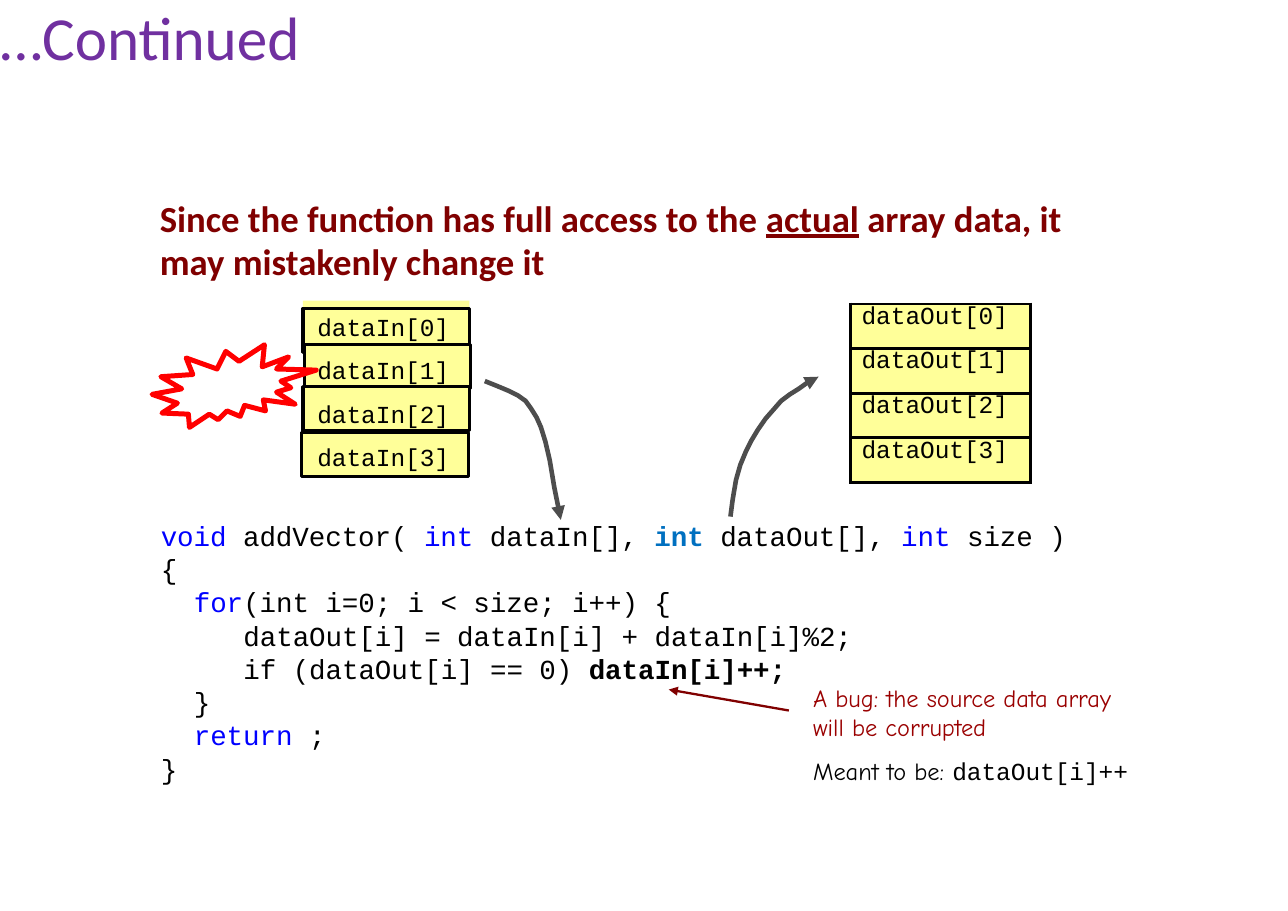
from pptx import Presentation
from pptx.dml.color import RGBColor
from pptx.enum import shapes, text
from pptx.oxml import ns, xmlchemy
from pptx.util import Inches, Pt

COLORS = {
    "title": "7030A0", "maroon": "800000", "warning": "9A0000",
    "keyword": "0000FF", "highlight": "0070C0", "black": "000000",
    "cell": "FFFF99", "arrow": "4D4D4D", "burst": "FF0000", "white": "FFFFFF",
}
CODE_FONT = "Courier New"

# Each code line: indent in inches, then runs of (text, colour, bold)
CODE = [
    (0, [("void", "keyword", False), (" addVector( ", "black", False),
         ("int", "keyword", False), (" dataIn[], ", "black", False),
         ("int", "highlight", True), (" dataOut[], ", "black", False),
         ("int", "keyword", False), (" size )", "black", False)]),
    (0, [("{", "black", False)]),
    (0.3, [("for", "keyword", False),
           ("(int i=0; i < size; i++) {", "black", False)]),
    (0.75, [("dataOut[i] = dataIn[i] + dataIn[i]%2;", "black", False)]),
    (0.75, [("if (dataOut[i] == 0) ", "black", False),
            ("dataIn[i]++;", "black", True)]),
    (0.3, [("}", "black", False)]),
    (0.3, [("return", "keyword", False), (" ;", "black", False)]),
    (0, [("}", "black", False)]),
]

DATA_IN_CORNERS = [(2.75, 2.8), (2.76, 3.13), (2.75, 3.51), (2.74, 3.93)]

BURST = [
    (2.17, 3.28), (2.05, 3.19), (1.97, 3.35), (1.69, 3.25), (1.75, 3.4),
    (1.46, 3.42), (1.65, 3.53), (1.38, 3.58), (1.61, 3.66), (1.47, 3.75),
    (1.71, 3.76), (1.72, 3.88), (1.9, 3.76), (1.98, 3.81), (2.06, 3.73),
    (2.18, 3.78), (2.22, 3.68), (2.41, 3.73), (2.39, 3.63), (2.68, 3.67),
    (2.51, 3.56), (2.64, 3.52), (2.55, 3.46), (2.87, 3.36), (2.51, 3.35),
    (2.62, 3.24), (2.38, 3.33), (2.4, 3.13),
]
ARROW_IN = [
    (4.4, 3.46), (4.5, 3.5), (4.62, 3.55), (4.7, 3.59), (4.77, 3.64),
    (4.82, 3.71), (4.87, 3.79), (4.91, 3.88), (4.95, 4.01), (4.99, 4.18),
    (5.03, 4.42), (5.09, 4.72),
]
ARROW_OUT = [
    (6.63, 4.69), (6.65, 4.54), (6.68, 4.36), (6.72, 4.22), (6.77, 4.1),
    (6.82, 4), (6.88, 3.9), (6.95, 3.8), (7.02, 3.72), (7.09, 3.64),
    (7.17, 3.58), (7.25, 3.53), (7.32, 3.48), (7.43, 3.42),
]


def rgb(color):
    return RGBColor.from_string(COLORS[color])


def set_font(font, name=None, size=None, color=None, bold=None):
    if name:
        font.name = name
    if size:
        font.size = Pt(size)
    if color:
        font.color.rgb = rgb(color)
    if bold is not None:
        font.bold = bold


def clear_margins(frame):
    frame.margin_left = frame.margin_top = 0
    frame.margin_right = frame.margin_bottom = 0
    frame.word_wrap = True


def add_text(slide, left, top, width, height, count):
    """Add a text box with the given number of paragraphs and return them."""
    frame = slide.shapes.add_textbox(
        Inches(left), Inches(top), Inches(width), Inches(height)).text_frame
    clear_margins(frame)
    for _ in range(count - 1):
        frame.add_paragraph()
    return frame.paragraphs


def add_run(paragraph, words, **font):
    run = paragraph.add_run()
    run.text = words
    set_font(run.font, **font)
    return run


def style_shape(shape, fill, line, width):
    shape.shadow.inherit = False
    if fill:
        shape.fill.solid()
        shape.fill.fore_color.rgb = rgb(fill)
    else:
        shape.fill.background()
    if line:
        shape.line.color.rgb = rgb(line)
        shape.line.width = Pt(width)
    else:
        shape.line.fill.background()


def add_box(slide, left, top, line):
    box = slide.shapes.add_shape(
        shapes.MSO_SHAPE.RECTANGLE,
        Inches(left), Inches(top), Inches(1.51), Inches(0.4))
    style_shape(box, "cell", line, 2)


def add_outline(slide, points, fill, line, width, close):
    corners = [(Inches(x), Inches(y)) for x, y in points]
    builder = slide.shapes.build_freeform(*corners[0])
    builder.add_line_segments(corners[1:], close=close)
    outline = builder.convert_to_shape()
    style_shape(outline, fill, line, width)
    return outline


def add_arrowhead(shape):
    head = xmlchemy.OxmlElement("a:tailEnd")
    head.set("type", "triangle")
    shape.line._get_or_add_ln().append(head)


def add_borders(cell):
    properties = cell._tc.get_or_add_tcPr()
    for position, side in enumerate(("a:lnL", "a:lnR", "a:lnT", "a:lnB")):
        border = xmlchemy.OxmlElement(side)
        border.set("w", str(Pt(2)))
        fill = xmlchemy.OxmlElement("a:solidFill")
        color = xmlchemy.OxmlElement("a:srgbClr")
        color.set("val", COLORS["black"])
        fill.append(color)
        border.append(fill)
        properties.insert(position, border)


def add_title(slide):
    title = slide.shapes.title
    title.left, title.top = Inches(0), Inches(-0.01)
    title.width, title.height = Inches(5.4), Inches(0.67)
    frame = title.text_frame
    clear_margins(frame)
    frame.vertical_anchor = text.MSO_ANCHOR.TOP
    frame.text = "…Continued"
    frame.paragraphs[0].alignment = text.PP_ALIGN.LEFT
    set_font(frame.paragraphs[0].font, "Calibri", 40, "title")


def add_statement(slide):
    statement, = add_text(slide, 1.45, 1.78, 8.51, 0.79, 1)
    statement.line_spacing = Pt(28.4)
    set_font(statement.font, "Calibri", 24, "maroon", True)
    add_run(statement, "Since the function has full access to the ")
    add_run(statement, "actual").font.underline = True
    add_run(statement, " array data, it may mistakenly change it")


def add_code(slide):
    lines = add_text(slide, 1.46, 4.71, 8.5, 2.42, len(CODE))
    for line, (indent, runs) in zip(lines, CODE):
        line.line_spacing = Pt(21.7)
        set_font(line.font, CODE_FONT, 18)
        line.font._element.set("spc", "-5")
        line._p.get_or_add_pPr().set("marL", str(Inches(indent)))
        for words, color, bold in runs:
            add_run(line, words, color=color, bold=bold)


def add_data_in(slide):
    add_box(slide, 2.75, 2.73, None)
    for left, top in DATA_IN_CORNERS:
        add_box(slide, left, top, "black")
    for index, label in enumerate(add_text(slide, 2.88, 2.7, 1.25, 1.58, 4)):
        label.text = f"dataIn[{index}]"
        label.line_spacing = Pt(28.5)
        set_font(label.font, CODE_FONT, 16, "black")


def add_data_out(slide):
    table = slide.shapes.add_table(
        4, 1, Inches(7.72), Inches(2.76), Inches(1.63), Inches(1.62)).table
    table.first_row = table.horz_banding = False
    for index, cell in enumerate(table.iter_cells()):
        cell.margin_left = Inches(0.1)
        cell.margin_top = cell.margin_right = cell.margin_bottom = 0
        cell.fill.solid()
        cell.fill.fore_color.rgb = rgb("cell")
        add_borders(cell)
        cell.text = f"dataOut[{index}]"
        set_font(cell.text_frame.paragraphs[0].font, CODE_FONT, 16, "black")


def add_bug_note(slide):
    bug, remedy = add_text(slide, 7.38, 6.2, 3.01, 0.95, 2)
    bug.text = "A bug: the source data array will be corrupted"
    set_font(bug.font, "Comic Neue", 16, "warning")
    remedy.space_before = Pt(9.5)
    set_font(remedy.font, size=16, color="black")
    add_run(remedy, "Meant to be: ", name="Comic Neue")
    add_run(remedy, "dataOut[i]++", name=CODE_FONT)

    pointer = slide.shapes.add_connector(
        shapes.MSO_CONNECTOR.STRAIGHT,
        Inches(7.16), Inches(6.45), Inches(6.07), Inches(6.26))
    pointer.line.color.rgb = rgb("maroon")
    pointer.line.width = Pt(1.5)
    add_arrowhead(pointer)
    pointer._element.find(ns.qn("p:spPr")).append(
        xmlchemy.OxmlElement("a:effectLst"))


def main():
    deck = Presentation()
    deck.slide_width, deck.slide_height = Inches(11.69), Inches(8.27)
    slide = deck.slides.add_slide(deck.slide_layouts[5])
    # Heading and code
    add_title(slide)
    add_statement(slide)
    add_code(slide)
    # Arrays, with the damaged element marked
    add_data_in(slide)
    add_outline(slide, BURST, "white", "burst", 3.25, True)
    add_data_out(slide)
    # Arrows from and to the arrays
    for points in (ARROW_IN, ARROW_OUT):
        add_arrowhead(add_outline(slide, points, None, "arrow", 3, False))
    add_bug_note(slide)
    deck.save("out.pptx")


if __name__ == "__main__":
    main()
